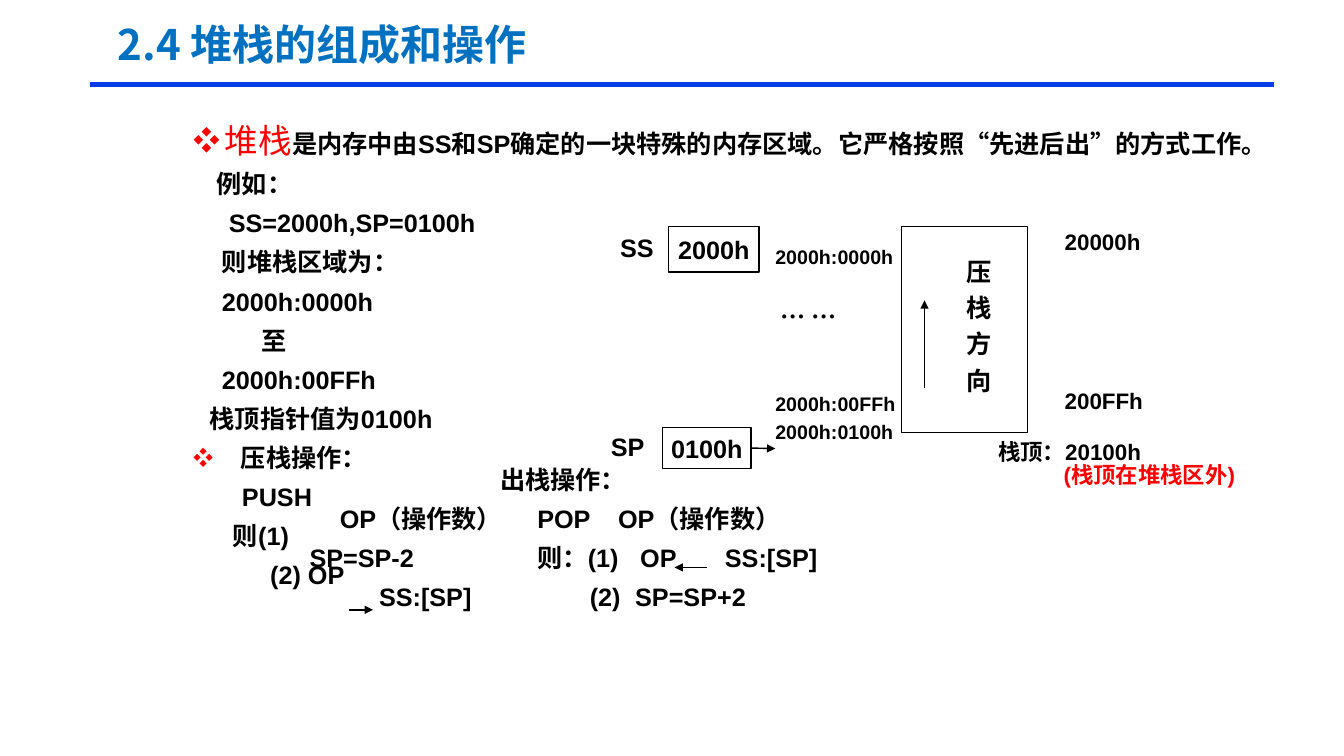
import dataclasses

import lxml.etree
import pptx
import pptx.dml.color
import pptx.enum.shapes
import pptx.enum.text
import pptx.oxml
import pptx.oxml.ns
import pptx.util

Inches = pptx.util.Inches
Pt = pptx.util.Pt
qn = pptx.oxml.ns.qn
ANCHOR = pptx.enum.text.MSO_ANCHOR
ALIGN = pptx.enum.text.PP_ALIGN


@dataclasses.dataclass(frozen=True)
class Theme:
    latin: str = "Arial"
    chinese: str = "Noto Sans CJK SC"
    title_color: str = "0070C0"
    rule_color: str = "063DE8"
    ink: str = "000000"
    accent: str = "FF0000"
    title_size: int = 30
    term_size: int = 24
    body_size: int = 18
    address_size: int = 16
    offset_size: int = 14


THEME = Theme()


def rgb(value):
    return pptx.dml.color.RGBColor.from_string(value)


def add_run(paragraph, text, size=THEME.body_size, color=THEME.ink, bold=True, font=THEME.latin):
    run = paragraph.add_run()
    run.text = text
    run.font.size = Pt(size)
    run.font.bold = bold
    run.font.name = font
    run.font.color.rgb = rgb(color)
    east_asian = lxml.etree.SubElement(run._r.get_or_add_rPr(), qn("a:ea"))
    east_asian.set("typeface", THEME.chinese)


def prepare_frame(frame, anchor, margin_x=0.0, margin_y=0.0, wrap=True):
    frame.word_wrap = wrap
    frame.vertical_anchor = anchor
    frame.margin_left = frame.margin_right = Inches(margin_x)
    frame.margin_top = frame.margin_bottom = Inches(margin_y)


def add_line(slide, start, end, color=THEME.ink, width=1, arrow=True):
    connector = slide.shapes.add_connector(
        pptx.enum.shapes.MSO_CONNECTOR.STRAIGHT, *map(Inches, start + end))
    connector.line.color.rgb = rgb(color)
    connector.line.width = Pt(width)
    if arrow:
        head = lxml.etree.SubElement(connector.line._get_or_add_ln(), qn("a:tailEnd"))
        head.set("type", "triangle")
    lxml.etree.SubElement(connector._element.spPr, qn("a:effectLst"))
    return connector


def add_label(slide, left, middle, text, size=THEME.body_size, color=THEME.ink, font=THEME.latin):
    height = 0.3
    shape = slide.shapes.add_textbox(
        Inches(left), Inches(middle - height / 2), Inches(2), Inches(height))
    prepare_frame(shape.text_frame, ANCHOR.MIDDLE, wrap=False)
    add_run(shape.text_frame.paragraphs[0], text, size, color, font=font)


def add_box(slide, left, top, width, height, text=""):
    shape = slide.shapes.add_shape(
        pptx.enum.shapes.MSO_SHAPE.RECTANGLE, *map(Inches, (left, top, width, height)))
    shape.shadow.inherit = False
    shape.fill.background()
    shape.line.color.rgb = rgb(THEME.ink)
    shape.line.width = Pt(1)
    if text:
        prepare_frame(shape.text_frame, ANCHOR.MIDDLE, wrap=False)
        paragraph = shape.text_frame.paragraphs[0]
        paragraph.alignment = ALIGN.CENTER
        add_run(paragraph, text)
    return shape


def format_paragraph(paragraph, margin, bullet=False):
    paragraph.line_spacing = 0.75
    properties = paragraph._p.get_or_add_pPr()
    properties.set("marL", str(Inches(margin)))
    properties.set("indent", str(Inches(-margin if bullet else 0)))
    properties.set("hangingPunct", "0")
    if bullet:
        color = lxml.etree.SubElement(properties, qn("a:buClr"))
        lxml.etree.SubElement(color, qn("a:srgbClr")).set("val", THEME.accent)
        lxml.etree.SubElement(properties, qn("a:buSzPct")).set("val", "80000")
        lxml.etree.SubElement(properties, qn("a:buFont")).set("typeface", THEME.chinese)
        lxml.etree.SubElement(properties, qn("a:buChar")).set("char", "❖")
    else:
        lxml.etree.SubElement(properties, qn("a:buNone"))


def build_title(slide, left, top, width, height):
    title = slide.shapes.title
    title.left, title.top, title.width, title.height = map(Inches, (left, top, width, height))
    prepare_frame(title.text_frame, ANCHOR.MIDDLE, 0.07, 0.03)
    paragraph = title.text_frame.paragraphs[0]
    paragraph.alignment = ALIGN.LEFT
    paragraph.line_spacing = 0.87
    add_run(paragraph, "2.4 堆栈的组成和操作", THEME.title_size, THEME.title_color, font=THEME.chinese)
    add_line(slide, (left - 0.21, top + 0.62), (left + 11.54, top + 0.62),
             THEME.rule_color, 3.75, arrow=False)


def build_explanation(slide, left, top, width, height):
    shape = slide.shapes.add_textbox(*map(Inches, (left, top, width, height)))
    frame = shape.text_frame
    prepare_frame(frame, ANCHOR.TOP, 0.07, 0.03)
    definition = frame.paragraphs[0]
    format_paragraph(definition, 0.31, bullet=True)
    add_run(definition, "堆栈", THEME.term_size, THEME.accent, bold=False)
    add_run(definition, "是内存中由SS和SP确定的一块特殊的内存区域。它严格按照")
    add_run(definition, "“", font=THEME.chinese)
    add_run(definition, "先进后出")
    add_run(definition, "”", font=THEME.chinese)
    add_run(definition, "的方式工作。")
    lines = [
        (False, [(0.23, "例如：")]),
        (False, [(0.35, "SS=2000h,SP=0100h")]),
        (False, [(0.28, "则堆栈区域为：")]),
        (False, [(0.28, "2000h:0000h")]),
        (False, [(0.67, "至")]),
        (False, [(0.28, "2000h:00FFh")]),
        (False, [(0.16, "栈顶指针值为0100h")]),
        (True, [(0.47, "压栈操作："), (3.04, "出栈操作：")]),
        (False, [(0.48, "PUSH"), (1.45, "OP（操作数）"), (3.41, "POP"), (4.21, "OP（操作数）")]),
        (False, [(0.39, "则(1)"), (1.15, "SP=SP-2"), (3.41, "则：(1)"), (4.43, "OP"),
                 (5.27, "SS:[SP]")]),
        (False, [(0.76, "(2) OP"), (1.84, "SS:[SP]"), (3.93, "(2)"), (4.38, "SP=SP+2")]),
    ]
    for row, (bullet, segments) in enumerate(lines):
        (margin, text), *others = segments
        paragraph = frame.add_paragraph()
        paragraph.space_before = Pt(11.7)
        format_paragraph(paragraph, margin, bullet)
        add_run(paragraph, text)
        for offset, text in others:
            add_label(slide, left + 0.07 + offset, top + 0.79 + 0.388 * row, text)
    add_line(slide, (left + 1.61, top + 4.8), (left + 1.85, top + 4.8))
    add_line(slide, (left + 5.16, top + 4.38), (left + 4.84, top + 4.38))


def build_registers(slide, left, top):
    add_label(slide, left + 0.09, top + 0.21, "SS")
    add_box(slide, left + 0.57, top, 0.9, 0.45, "2000h")
    add_label(slide, left, top + 2.18, "SP")
    pointer = add_box(slide, left + 0.51, top + 1.99, 0.88, 0.41, "0100h")
    arrow = add_line(slide, (left + 1.39, top + 2.2), (left + 1.63, top + 2.2))
    arrow.begin_connect(pointer, 3)


def build_stack(slide, left, top, width, height):
    add_box(slide, left, top, width, height)
    add_line(slide, (left + 0.23, top + 1.6), (left + 0.23, top + 0.73))
    for row, character in enumerate("压栈方向"):
        add_label(slide, left + 0.65, top + 0.44 + 0.36 * row, character)
    for offset, text in [(0.3, "2000h:0000h"), (1.75, "2000h:00FFh"), (2.03, "2000h:0100h")]:
        add_label(slide, left - 1.25, top + offset, text, THEME.offset_size)
    add_label(slide, left - 1.2, top + 0.89, "… …", font=THEME.chinese)
    for offset, text in [(0.15, "20000h"), (1.72, "200FFh")]:
        add_label(slide, left + 1.62, top + offset, text, THEME.address_size)
    add_label(slide, left + 0.96, top + 2.23, "栈顶：20100h", THEME.address_size)
    add_label(slide, left + 1.61, top + 2.46, "(栈顶在堆栈区外)", THEME.address_size, THEME.accent)


def main():
    presentation = pptx.Presentation()
    presentation.slide_width = Inches(13.33)
    presentation.slide_height = Inches(7.5)
    slide = presentation.slides.add_slide(presentation.slide_layouts[5])
    build_title(slide, 1.1, 0.22, 7.67, 0.5)
    build_explanation(slide, 1.85, 1.25, 10.89, 5.2)
    build_registers(slide, 6.06, 2.25)
    build_stack(slide, 8.94, 2.25, 1.25, 2.04)
    presentation.save("out.pptx")


if __name__ == "__main__":
    main()
